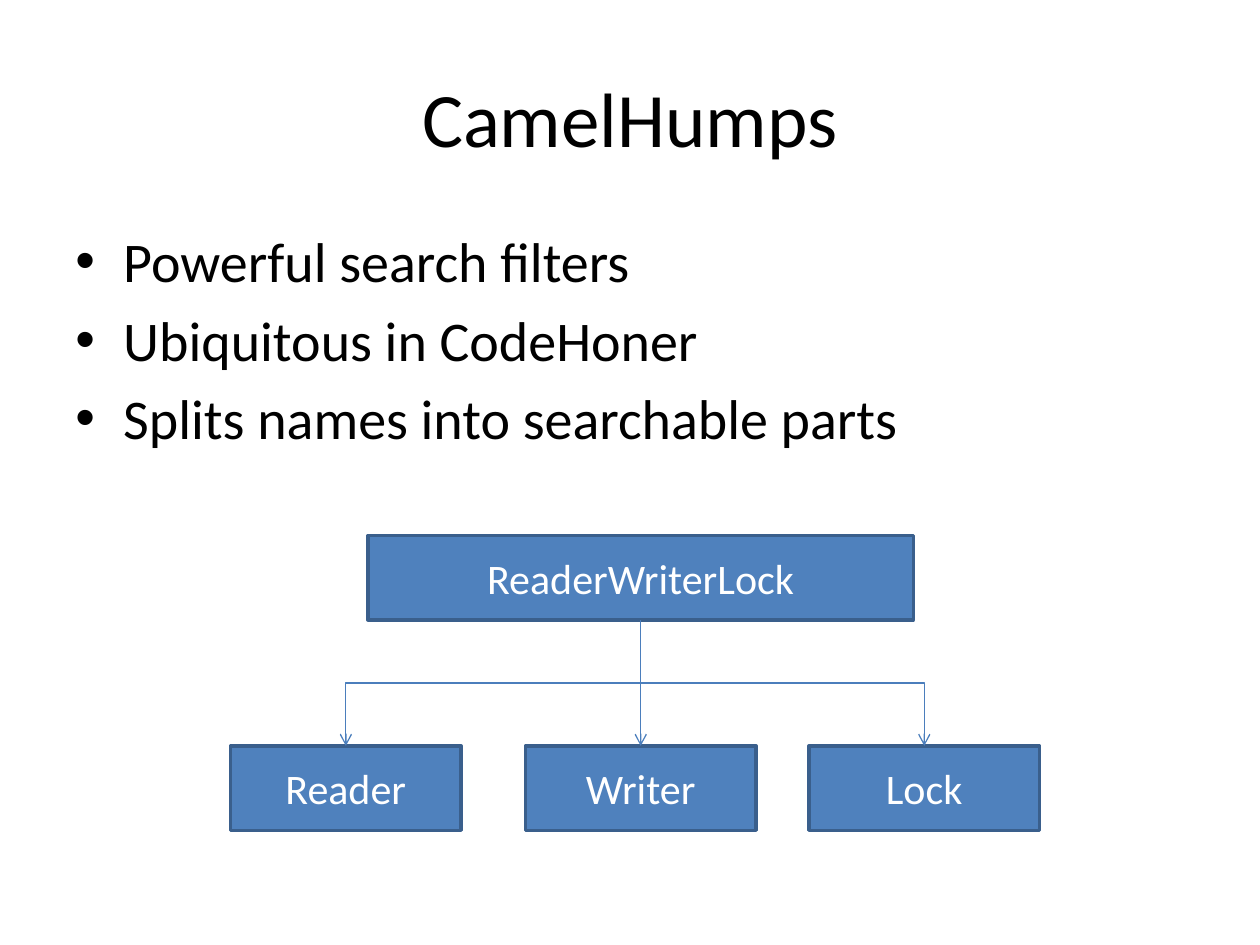
from dataclasses import dataclass
from lxml.etree import SubElement as Sub
from pptx import Presentation
from pptx.dml.color import RGBColor as RGB
from pptx.enum.shapes import MSO_CONNECTOR as Link, MSO_SHAPE as Kind
from pptx.enum.text import MSO_ANCHOR as Anchor, PP_ALIGN as Align
from pptx.oxml.ns import qn
from pptx.util import Inches, Pt


@dataclass(frozen=True)
class Theme:
    """Colours, font and type sizes of the slide."""
    font: str = "Calibri"
    ink: str = "000000"
    paper: str = "FFFFFF"
    fill: str = "4F81BD"
    edge: str = "3A5F8C"
    wire: str = "4B7EBC"
    title: int = 44
    body: int = 32
    label: int = 24


def write(frame, *lines, font, size, color, align=Align.LEFT,
          anchor=Anchor.TOP, bullet=False):
    """Fill a text frame with one paragraph per line."""
    frame.word_wrap = True
    frame.vertical_anchor = anchor
    for i, line in enumerate(lines):
        para = frame.add_paragraph() if i else frame.paragraphs[0]
        para.alignment = align
        run = para.add_run()
        run.text = line
        run.font.name, run.font.size = font, Pt(size)
        run.font.color.rgb = RGB.from_string(color)
        if bullet:
            para.space_before = Pt(size * 0.2)
            props = para._p.get_or_add_pPr()
            props.set("marL", str(Inches(0.38)))
            props.set("indent", str(-Inches(0.38)))
            Sub(props, qn("a:buFont"), typeface="Arial")
            Sub(props, qn("a:buChar"), char="\u2022")


class Deck:
    """Holds the style and the current slide."""

    def __init__(self, theme):
        """Start a deck with one title-only slide."""
        self.theme = theme
        self.show = Presentation()
        self.show.slide_width, self.show.slide_height = Inches(10), Inches(7.5)
        self.slide = self.show.slides.add_slide(self.show.slide_layouts[5])

    def title(self, text, x, y, w, h):
        """Place and fill the title placeholder."""
        head = self.slide.shapes.title
        head.left, head.top = Inches(x), Inches(y)
        head.width, head.height = Inches(w), Inches(h)
        write(head.text_frame, text, font=self.theme.font,
              size=self.theme.title, color=self.theme.ink,
              align=Align.CENTER, anchor=Anchor.MIDDLE)

    def points(self, lines, x, y, w, h):
        """Add a bulleted list."""
        area = self.slide.shapes.add_textbox(*map(Inches, (x, y, w, h)))
        write(area.text_frame, *lines, font=self.theme.font,
              size=self.theme.body, color=self.theme.ink, bullet=True)

    def box(self, text, x, y, w, h):
        """Add a labelled rectangle and return it."""
        node = self.slide.shapes.add_shape(
            Kind.RECTANGLE, *map(Inches, (x, y, w, h)))
        node.shadow.inherit = False
        node.fill.solid()
        node.fill.fore_color.rgb = RGB.from_string(self.theme.fill)
        node.line.color.rgb = RGB.from_string(self.theme.edge)
        node.line.width = Pt(2)
        write(node.text_frame, text, font=self.theme.font,
              size=self.theme.label, color=self.theme.paper,
              align=Align.CENTER, anchor=Anchor.MIDDLE)
        return node

    def link(self, top, low):
        """Join two boxes with an elbow arrow that leaves downwards."""
        wire = self.slide.shapes.add_connector(Link.ELBOW, 0, 0, 0, 0)
        wire.begin_connect(top, 2)
        wire.end_connect(low, 0)
        x1, x2 = (n.left + n.width // 2 for n in (top, low))
        y1, y2 = top.top + top.height, low.top
        # A quarter turn makes the elbow run vertically first.
        wire.width, wire.height = y2 - y1, abs(x2 - x1)
        wire.left = (x1 + x2 - wire.width) // 2
        wire.top = (y1 + y2 - wire.height) // 2
        props = wire._element.spPr
        frame = props.find(qn("a:xfrm"))
        for key in ("flipH", "flipV"):
            frame.attrib.pop(key, None)
        right = x2 > x1
        frame.set("rot", str((270 if right else 90) * 60000))
        if right:
            frame.set("flipH", "1")
        wire.line.color.rgb = RGB.from_string(self.theme.wire)
        wire.line.width = Pt(0.75)
        Sub(props.find(qn("a:ln")), qn("a:tailEnd"), type="arrow")
        Sub(props, qn("a:effectLst"))

    def save(self):
        """Write the file."""
        self.show.save("out.pptx")


deck = Deck(Theme())
deck.title("CamelHumps", 0.5, 0.3, 9, 1.25)
deck.points(["Powerful search filters", "Ubiquitous in CodeHoner",
             "Splits names into searchable parts"], 0.5, 1.75, 9, 4.95)
root = deck.box("ReaderWriterLock", 2.92, 4.25, 4.33, 0.67)
parts = [deck.box(name, x, 5.92, 1.83, 0.67)
         for name, x in (("Reader", 1.83), ("Writer", 4.17), ("Lock", 6.42))]
for part in parts:
    deck.link(root, part)
deck.save()
